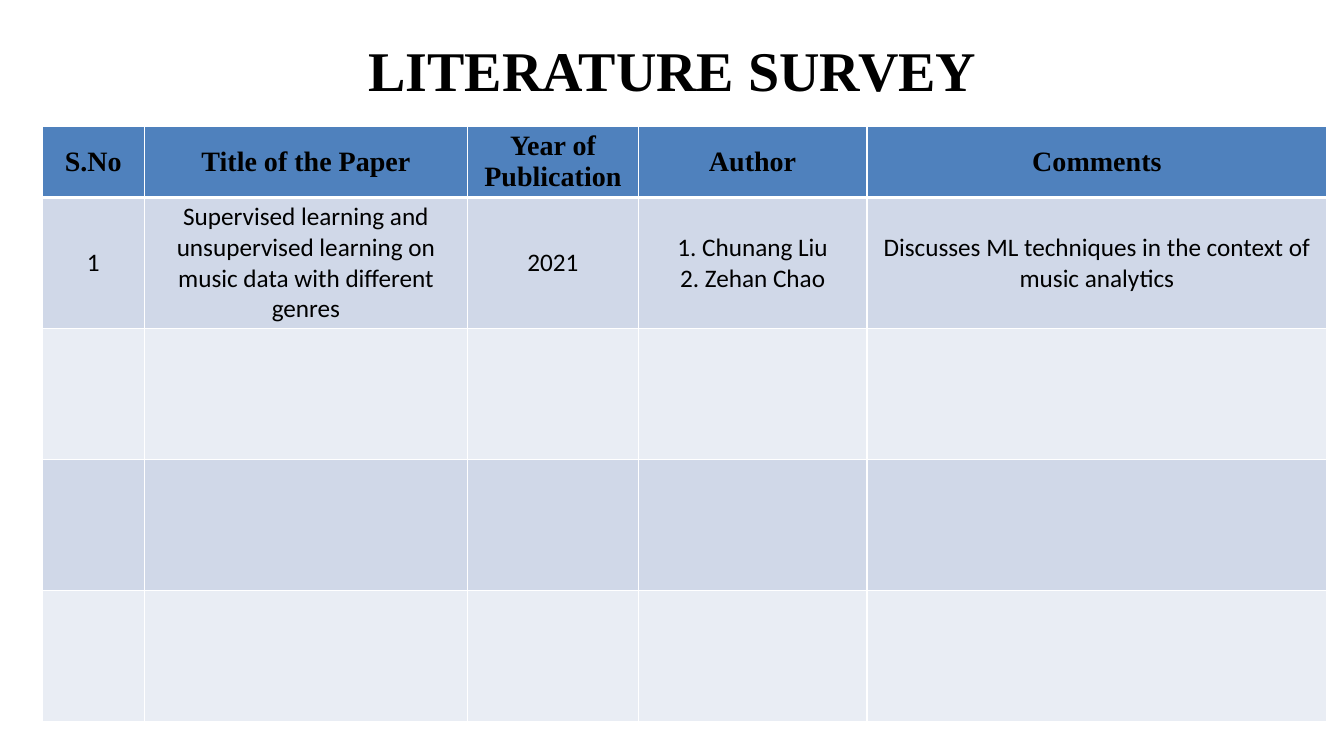
from dataclasses import dataclass

from lxml.etree import SubElement
from pptx import Presentation
from pptx.dml.color import RGBColor
from pptx.enum.text import MSO_ANCHOR as Anchor, PP_ALIGN as Align
from pptx.oxml.ns import qn
from pptx.util import Inches, Pt


@dataclass(frozen=True)
class Theme:
    text: str = "000000"
    border: str = "FFFFFF"
    header: str = "4F81BD"
    bands: tuple = ("D0D8E8", "E9EDF4")
    heading_font: str = "Times New Roman"
    body_font: str = "Calibri"
    title_size: int = 40
    header_size: int = 20
    body_size: int = 18


THEME = Theme()
COLUMN_WIDTHS = (1.01, 3.21, 1.69, 2.27, 4.56)
HEADER_HEIGHT = 0.71
ROW_HEIGHT = 1.3
HEADERS = ("S.No", "Title of the Paper", "Year of Publication", "Author", "Comments")
PAPERS = (
    (
        "1",
        "Supervised learning and unsupervised learning on music data with different genres",
        "2021",
        "1. Chunang Liu\n2. Zehan Chao",
        "Discusses ML techniques in the context of music analytics",
    ),
)
PAPER_ROWS = 4


def write_text(tf, text, font=THEME.body_font, size=THEME.body_size, bold=False):
    tf.word_wrap = True
    for i, line in enumerate(text.split("\n")):
        p = tf.add_paragraph() if i else tf.paragraphs[0]
        p.alignment = Align.CENTER
        r = p.add_run()
        r.text = line
        r.font.name = font
        r.font.size = Pt(size)
        r.font.bold = bold
        r.font.color.rgb = RGBColor.from_string(THEME.text)


def set_borders(cell, bottom):
    tc_pr = cell._tc.get_or_add_tcPr()
    for side, width in (("L", 1), ("R", 1), ("T", 1), ("B", bottom)):
        ln = SubElement(tc_pr, qn(f"a:ln{side}"), w=str(Pt(width)))
        fill = SubElement(ln, qn("a:solidFill"))
        SubElement(fill, qn("a:srgbClr"), val=THEME.border)


def format_cell(cell, color, bottom=1):
    set_borders(cell, bottom)
    cell.fill.solid()
    cell.fill.fore_color.rgb = RGBColor.from_string(color)
    cell.vertical_anchor = Anchor.MIDDLE
    cell.margin_top = cell.margin_bottom = Inches(0.03)


def add_title(s, text):
    title = s.shapes.title
    title.left, title.top = Inches(0.67), Inches(0.3)
    title.width, title.height = Inches(12), Inches(0.78)
    title.text_frame.vertical_anchor = Anchor.MIDDLE
    write_text(title.text_frame, text, font=THEME.heading_font,
               size=THEME.title_size, bold=True)


def add_survey_table(s):
    height = HEADER_HEIGHT + PAPER_ROWS * ROW_HEIGHT
    frame = s.shapes.add_table(
        PAPER_ROWS + 1, len(HEADERS), Inches(0.42), Inches(1.25),
        Inches(sum(COLUMN_WIDTHS)), Inches(height))
    table = frame.table
    for column, width in zip(table.columns, COLUMN_WIDTHS):
        column.width = Inches(width)
    for i, row in enumerate(table.rows):
        row.height = Inches(ROW_HEIGHT if i else HEADER_HEIGHT)
        for cell in row.cells:
            if i:
                format_cell(cell, THEME.bands[(i - 1) % 2])
            else:
                format_cell(cell, THEME.header, bottom=3)
    for cell, text in zip(table.rows[0].cells, HEADERS):
        write_text(cell.text_frame, text, font=THEME.heading_font,
                   size=THEME.header_size, bold=True)
    for i, paper in enumerate(PAPERS, start=1):
        for cell, text in zip(table.rows[i].cells, paper):
            write_text(cell.text_frame, text)


def main():
    prs = Presentation()
    prs.slide_width, prs.slide_height = Inches(13.33), Inches(7.5)
    s = prs.slides.add_slide(prs.slide_layouts[5])
    add_title(s, "LITERATURE SURVEY")
    add_survey_table(s)
    prs.save("out.pptx")


if __name__ == "__main__":
    main()
